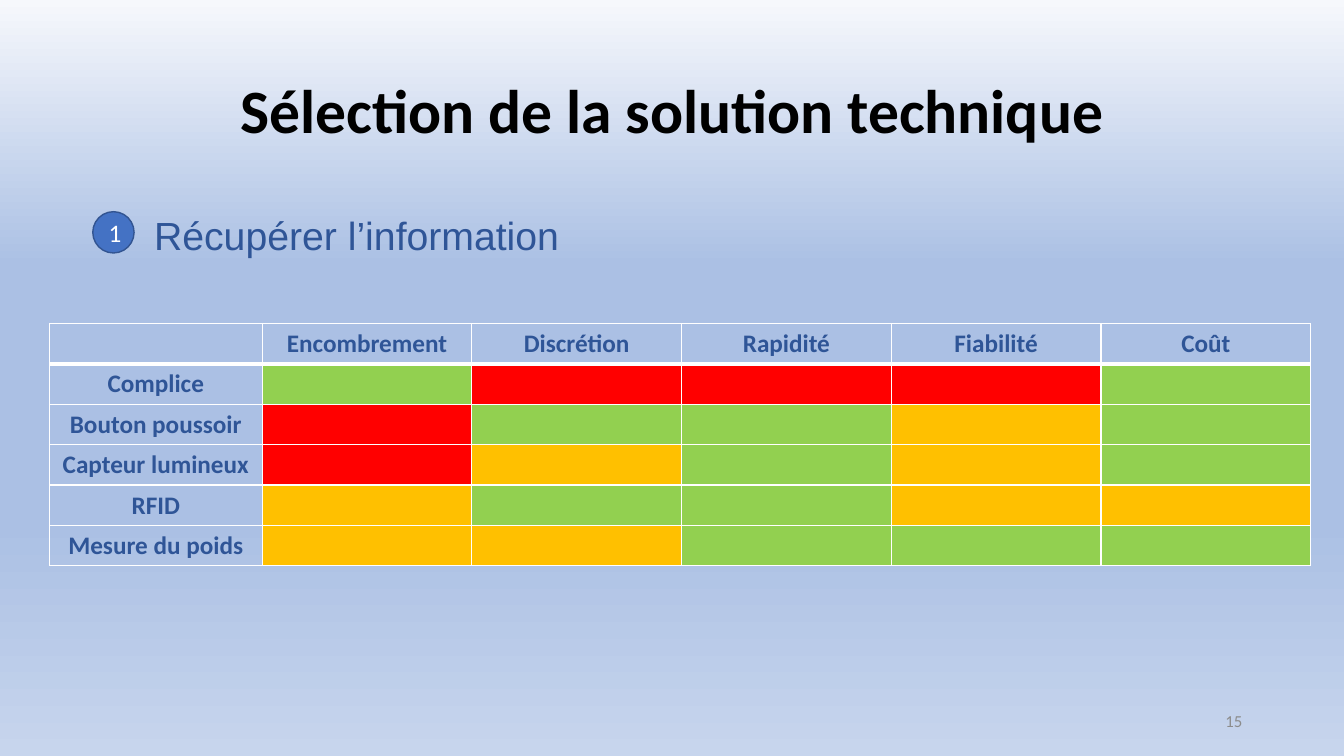
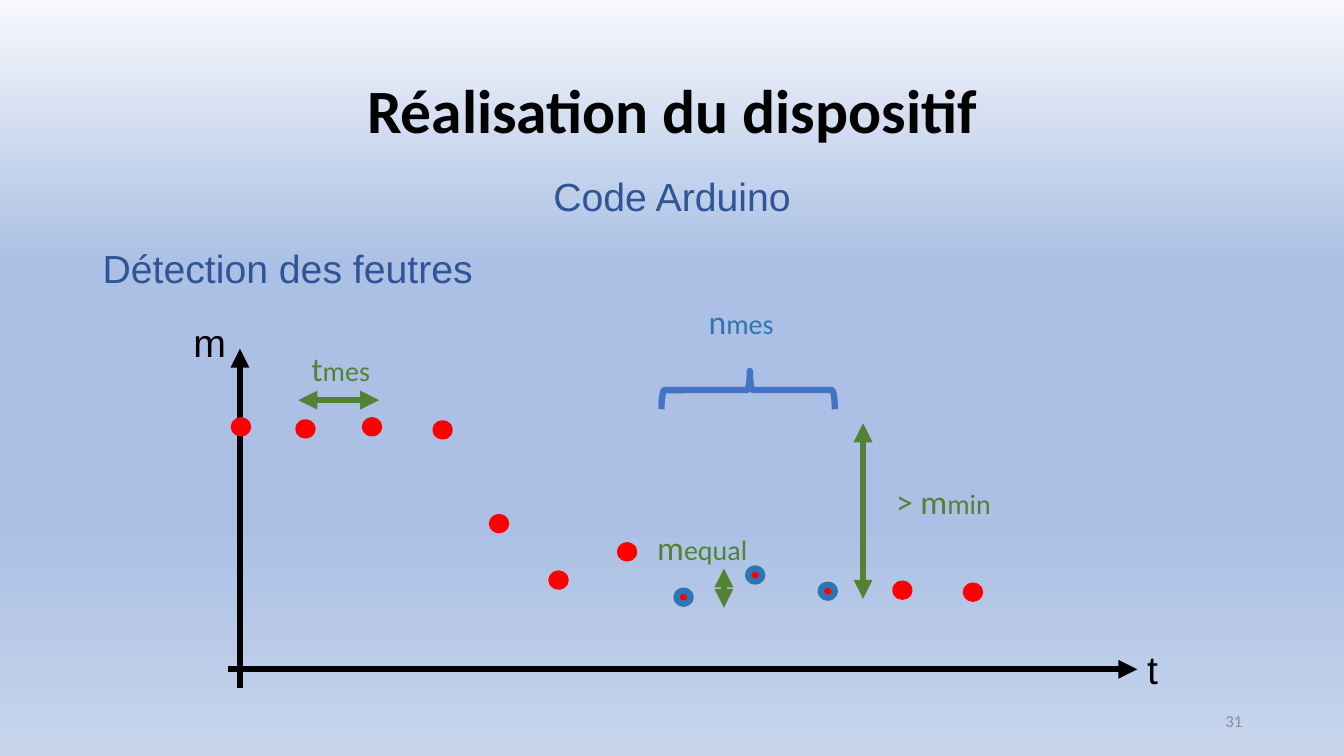
"""Builds two slides: a comparison grid of solutions and a measurement diagram."""
from dataclasses import dataclass

from lxml import etree
from pptx import Presentation
from pptx.dml.color import RGBColor
from pptx.enum.shapes import MSO_CONNECTOR, MSO_SHAPE
from pptx.enum.text import MSO_ANCHOR, PP_ALIGN
from pptx.oxml.ns import qn
from pptx.util import Emu, Pt

LEFT, CENTER, RIGHT = PP_ALIGN.LEFT, PP_ALIGN.CENTER, PP_ALIGN.RIGHT
TOP, MIDDLE = MSO_ANCHOR.TOP, MSO_ANCHOR.MIDDLE
OVAL, LEFT_BRACE = MSO_SHAPE.OVAL, MSO_SHAPE.LEFT_BRACE
STRAIGHT = MSO_CONNECTOR.STRAIGHT
EMU_PER_PX = 9144
BLANK_LAYOUT = 6


@dataclass(frozen=True)
class Theme:
    """Colours, fonts and type sizes of the deck."""
    heading_font: str = "Arial"
    body_font: str = "Calibri"
    black: str = "000000"
    white: str = "FFFFFF"
    navy: str = "2F5597"
    blue: str = "4472C4"
    badge_line: str = "325491"
    steel: str = "2E75B6"
    moss: str = "548235"
    gray: str = "8C8C8C"
    good: str = "92D050"
    fair: str = "FFC000"
    poor: str = "FF0000"
    background: tuple = ((0, "F6F8FC"), (35, "ABC0E4"), (69, "ABC0E4"), (100, "C7D5ED"))
    title_size: int = 44
    heading_size: int = 28
    symbol_size: int = 24
    index_size: int = 20
    cell_size: int = 18
    footer_size: int = 12
    stroke: float = 4.5


def px(length):
    """Turns whole pixels into EMU."""
    return Emu(length * EMU_PER_PX)


def rgb(color):
    """Turns a hexadecimal string into a colour."""
    return RGBColor.from_string(color)


class SlideBuilder:
    """Holds the deck, its theme and the current slide."""

    def __init__(self, theme):
        """Opens an empty widescreen deck."""
        self.theme = theme
        self.deck = Presentation()
        self.deck.slide_width, self.deck.slide_height = px(1333), px(750)
        self.page = None

    def start_page(self, title, number):
        """Adds a slide with the shared background, title and number."""
        theme = self.theme
        self.page = self.deck.slides.add_slide(self.deck.slide_layouts[BLANK_LAYOUT])
        fill = self.page.background.fill
        fill.gradient()
        fill.gradient_angle = 270
        stops = self.page.element.find(".//" + qn("a:gsLst"))
        for stop in list(stops):
            stops.remove(stop)
        for position, color in theme.background:
            stop = etree.SubElement(stops, qn("a:gs"), pos=str(position * 1000))
            etree.SubElement(stop, qn("a:srgbClr"), val=color)
        para = self.text(92, 40, 1150, 145, [(title, theme.title_size)], theme.black,
                         align=CENTER, anchor=MIDDLE, bold=True)
        para.line_spacing = 0.9
        self.text(942, 695, 300, 40, [(str(number), theme.footer_size)], theme.gray,
                  align=RIGHT, anchor=MIDDLE)

    def add_spans(self, para, runs, color, font=None, align=LEFT, bold=False):
        """Fills a paragraph with (text, size) runs."""
        para.alignment = align
        for text, size in runs:
            span = para.add_run()
            span.text = text
            span.font.name = font or self.theme.body_font
            span.font.size = Pt(size)
            span.font.bold = bold
            span.font.color.rgb = rgb(color)

    def text(self, left, top, width, height, runs, color, anchor=TOP, **style):
        """Adds a wrapped text box and returns its paragraph."""
        box = self.page.shapes.add_textbox(px(left), px(top), px(width), px(height))
        box.text_frame.word_wrap = True
        box.text_frame.vertical_anchor = anchor
        para = box.text_frame.paragraphs[0]
        self.add_spans(para, runs, color, **style)
        return para

    def heading(self, left, top, width, text, color=None, align=LEFT):
        """Adds a one-line heading or axis name."""
        theme = self.theme
        self.text(left, top, width, 57, [(text, theme.heading_size)],
                  color or theme.navy, font=theme.heading_font, align=align)

    def symbol(self, left, top, width, letter, index, color):
        """Adds a quantity with its smaller index."""
        theme = self.theme
        self.text(left, top, width, 50,
                  [(letter, theme.symbol_size), (index, theme.index_size)], color)

    def shape(self, kind, left, top, width, height, fill, line, weight):
        """Adds a flat preset shape."""
        shape = self.page.shapes.add_shape(kind, px(left), px(top), px(width), px(height))
        shape.shadow.inherit = False
        if fill:
            shape.fill.solid()
            shape.fill.fore_color.rgb = rgb(fill)
        else:
            shape.fill.background()
        shape.line.color.rgb = rgb(line)
        shape.line.width = Pt(weight)
        return shape

    def badge(self, left, top, number):
        """Adds a numbered disc."""
        theme = self.theme
        disc = self.shape(OVAL, left, top, 41, 41, theme.blue, theme.badge_line, 1)
        disc.text_frame.vertical_anchor = MIDDLE
        self.add_spans(disc.text_frame.paragraphs[0], [(str(number), theme.cell_size)],
                       theme.white, align=CENTER)

    def dot(self, left, top, outline):
        """Adds one measurement point."""
        self.shape(OVAL, left, top, 14, 13, self.theme.poor, outline, self.theme.stroke)

    def brace(self, left, top, width, height):
        """Adds a brace turned to open downwards."""
        brace = self.shape(LEFT_BRACE, left, top, width, height, None,
                           self.theme.blue, self.theme.stroke)
        brace.rotation = 90
        brace.adjustments[0] = 0.08
        brace.adjustments[1] = 0.49

    def arrow(self, start, end, color, both_ends=False):
        """Adds a straight arrow between two points."""
        arrow = self.page.shapes.add_connector(STRAIGHT, *map(px, start + end))
        arrow.line.color.rgb = rgb(color)
        arrow.line.width = Pt(self.theme.stroke)
        properties = arrow.element.spPr
        outline = properties.find(qn("a:ln"))
        for tag in ("a:headEnd", "a:tailEnd") if both_ends else ("a:tailEnd",):
            etree.SubElement(outline, qn(tag), type="triangle")
        etree.SubElement(properties, qn("a:effectLst"))

    def border(self, cell, side, weight):
        """Draws one side of a cell in white."""
        line = etree.SubElement(cell._tc.get_or_add_tcPr(), qn("a:ln" + side),
                                w=str(Pt(weight)))
        fill = etree.SubElement(line, qn("a:solidFill"))
        etree.SubElement(fill, qn("a:srgbClr"), val=self.theme.white)

    def rating_table(self, left, top, widths, row_height, criteria, ratings):
        """Adds a table whose cells are rated by colour."""
        theme = self.theme
        colors = {"+": theme.good, "o": theme.fair, "-": theme.poor}
        rows = [("", *criteria)] + [(name, *marks) for name, marks in ratings]
        table = self.page.shapes.add_table(
            len(rows), len(widths), px(left), px(top),
            px(sum(widths)), px(row_height * len(rows))).table
        table.first_row = table.horz_banding = False
        for column, width in zip(table.columns, widths):
            column.width = px(width)
        for row_index, values in enumerate(rows):
            table.rows[row_index].height = px(row_height)
            for column_index, value in enumerate(values):
                cell = table.cell(row_index, column_index)
                for side in "LRTB":
                    under_header = (row_index, side) in ((0, "B"), (1, "T"))
                    self.border(cell, side, 3 if under_header else 1)
                if value in colors:
                    cell.fill.solid()
                    cell.fill.fore_color.rgb = rgb(colors[value])
                    continue
                cell.fill.background()
                cell.vertical_anchor = MIDDLE
                if value:
                    self.add_spans(cell.text_frame.paragraphs[0],
                                   [(value, theme.cell_size)],
                                   theme.navy, align=CENTER, bold=True)


def selection_page(builder):
    """Compares the ways of getting the information."""
    builder.start_page("Sélection de la solution technique", 15)
    builder.badge(92, 210, 1)
    builder.heading(143, 205, 852, "Récupérer l’information")
    builder.rating_table(
        49, 321, [211] + [208] * 5, 40,
        ("Encombrement", "Discrétion", "Rapidité", "Fiabilité", "Coût"),
        (("Complice", "+---+"),
         ("Bouton poussoir", "-++o+"),
         ("Capteur lumineux", "-o+o+"),
         ("RFID", "o++oo"),
         ("Mesure du poids", "oo+++")))


def detection_page(builder):
    """Explains how a change of mass over time is detected."""
    theme = builder.theme
    builder.start_page("Réalisation du dispositif", 31)
    builder.heading(260, 166, 813, "Code Arduino", align=CENTER)
    builder.heading(92, 237, 813, "Détection des feutres")

    builder.arrow((238, 683), (238, 346), theme.black)
    builder.arrow((226, 664), (1128, 664), theme.black)
    builder.heading(182, 311, 87, "m", theme.black)
    builder.heading(1128, 635, 87, "t", theme.black)

    plain_dots = ((232, 417), (296, 419), (362, 417), (432, 420), (488, 513),
                  (547, 569), (615, 541), (888, 579), (958, 581))
    counted_dots = ((671, 586), (742, 564), (814, 580))
    for dots, outline in ((plain_dots, theme.poor), (counted_dots, theme.steel)):
        for left, top in dots:
            builder.dot(left, top, outline)

    builder.brace(723, 301, 38, 172)
    for start, end in (((296, 397), (376, 397)),
                       ((856, 420), (856, 594)),
                       ((718, 564), (718, 603))):
        builder.arrow(start, end, theme.moss, both_ends=True)
    for left, top, width, letter, index, color in (
            (299, 340, 121, "t", "mes", theme.moss),
            (693, 294, 121, "n", "mes", theme.steel),
            (879, 472, 194, "> m", "min", theme.moss),
            (642, 518, 194, "m", "equal", theme.moss)):
        builder.symbol(left, top, width, letter, index, color)


def main():
    """Builds and saves the deck."""
    builder = SlideBuilder(Theme())
    selection_page(builder)
    detection_page(builder)
    builder.deck.save("out.pptx")


if __name__ == "__main__":
    main()
